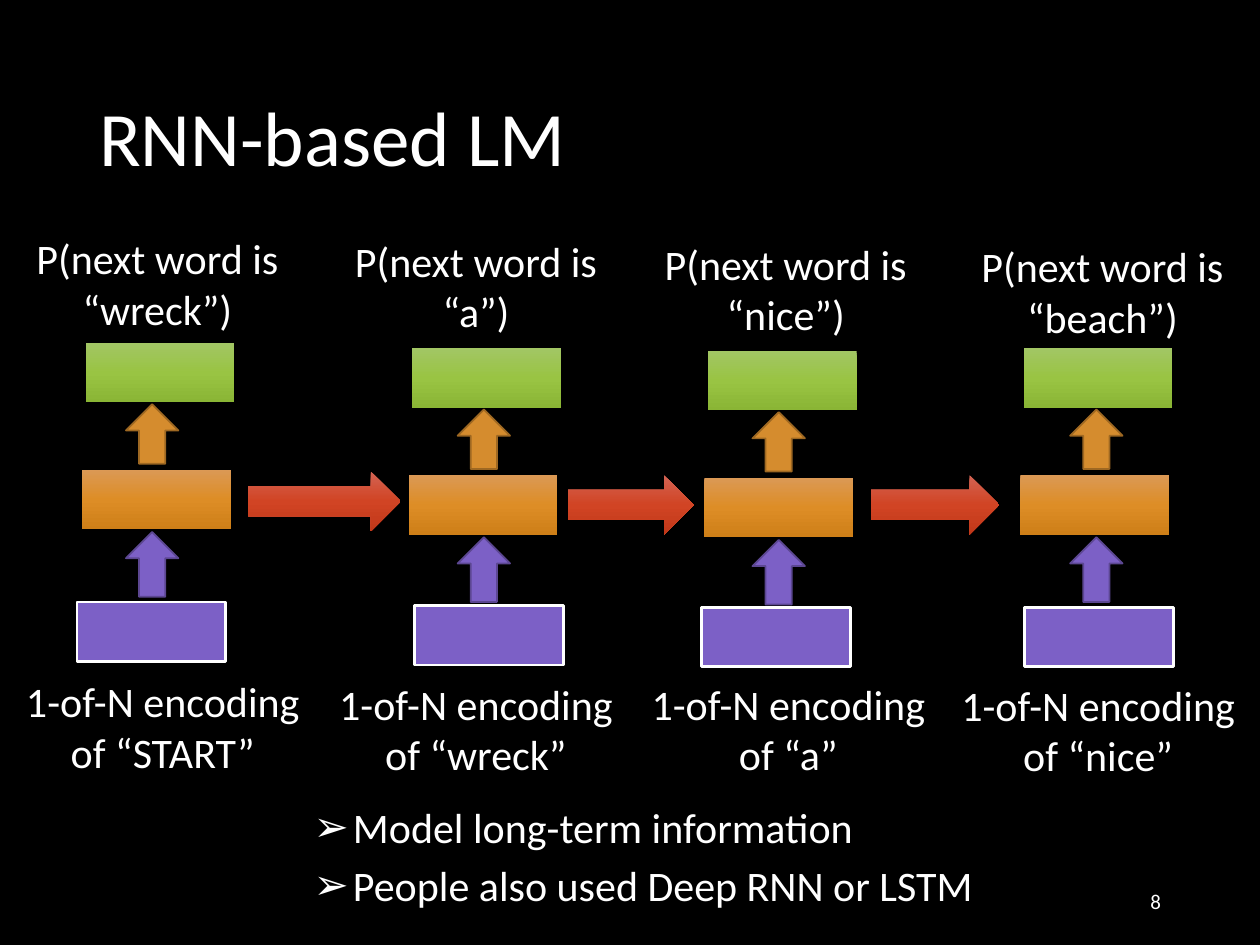
from copy import deepcopy
from lxml.etree import SubElement
from pptx import Presentation
from pptx.dml.color import RGBColor
from pptx.enum.shapes import MSO_SHAPE as Shape
from pptx.enum.text import MSO_ANCHOR as Anchor, MSO_AUTO_SIZE as AutoSize, PP_ALIGN as Align
from pptx.oxml.ns import qn
from pptx.util import Pt

BLACK = RGBColor(0x00, 0x00, 0x00)
WHITE = RGBColor(0xFF, 0xFF, 0xFF)
PURPLE = RGBColor(0x7C, 0x60, 0xC6)
DARK_PURPLE = RGBColor(0x5C, 0x47, 0x92)
ORANGE = RGBColor(0xD5, 0x8C, 0x2E)
DARK_ORANGE = RGBColor(0x9E, 0x68, 0x22)
ORANGES = [RGBColor(0xDB, 0x99, 0x55), RGBColor(0xDD, 0x8D, 0x26), RGBColor(0xCE, 0x7F, 0x18)]
GREENS = [RGBColor(0xA2, 0xC6, 0x64), RGBColor(0x99, 0xC4, 0x43), RGBColor(0x8A, 0xB5, 0x35)]
REDS = [RGBColor(0xD3, 0x63, 0x53), RGBColor(0xD1, 0x44, 0x24), RGBColor(0xC1, 0x38, 0x19)]

prs = Presentation()
prs.slide_width, prs.slide_height = Pt(720), Pt(540)
slide = prs.slides.add_slide(prs.slide_layouts[1])
slide.background.fill.solid()
slide.background.fill.fore_color.rgb = BLACK


def add_block(kind, x, y, w, h, colors, line=None, line_width=1):
    block = slide.shapes.add_shape(kind, Pt(x), Pt(y), Pt(w), Pt(h))
    block.shadow.inherit = False
    if len(colors) == 1:
        block.fill.solid()
        block.fill.fore_color.rgb = colors[0]
    else:
        block.fill.gradient()
        block.fill.gradient_angle = 270
        first = block._element.spPr.find(qn("a:gradFill")).find(qn("a:gsLst"))[0]
        first.addnext(deepcopy(first))
        for stop, color, position in zip(block.fill.gradient_stops, colors, (0, 0.5, 1)):
            stop.color.rgb = color
            stop.position = position
    if line is None:
        block.line.fill.background()
    else:
        block.line.color.rgb = line
        block.line.width = Pt(line_width)


def write(frame, text, size, align, anchor=Anchor.TOP):
    frame.word_wrap = True
    frame.auto_size = AutoSize.NONE
    frame.vertical_anchor = anchor
    frame.text = text
    for paragraph in frame.paragraphs:
        paragraph.alignment = align
        paragraph.font.name = "Calibri"
        paragraph.font.size = Pt(size)
        paragraph.font.color.rgb = WHITE


title = slide.shapes.title
title.left, title.top, title.width, title.height = Pt(49.5), Pt(29), Pt(621), Pt(104)
write(title.text_frame, "RNN-based LM", 44, Align.LEFT, Anchor.MIDDLE)
title.text_frame.paragraphs[0].line_spacing = 0.9

BOX_W, BOX_H, ARROW_W = 85, 34, 30
# Each step: input word, predicted word, then (x, y) of input, state and the two labels, and arrow x
steps = [
    ("START", "wreck", (44, 344), (47, 268.5), (6, 382.5), (-0.5, 129.5), 72),
    ("wreck", "a", (237, 346), (233.5, 271.5), (185, 384), (181.5, 131), 261.5),
    ("a", "nice", (401, 347), (402.5, 273), (363.5, 384), (358.5, 132.5), 430),
    ("nice", "beach", (585.5, 347), (583, 271.5), (540.5, 384.5), (539.5, 134), 611.5),
]
for word, next_word, code, state, code_label, output_label, arrow_x in steps:
    state_x, state_y = state
    add_block(Shape.RECTANGLE, *code, BOX_W, BOX_H, [PURPLE], WHITE, 1.5)
    add_block(Shape.RECTANGLE, *state, BOX_W, BOX_H, ORANGES)
    add_block(Shape.RECTANGLE, state_x + 2, state_y - 72.5, BOX_W, BOX_H, GREENS)
    add_block(Shape.UP_ARROW, arrow_x, state_y + 35.5, ARROW_W, 37, [PURPLE], DARK_PURPLE)
    add_block(Shape.UP_ARROW, arrow_x, state_y - 37.5, ARROW_W, 34, [ORANGE], DARK_ORANGE)
    for (x, y), width, text in (
        (code_label, 174, f"1-of-N encoding of “{word}”"),
        (output_label, 181, f"P(next word is “{next_word}”)"),
    ):
        label = slide.shapes.add_textbox(Pt(x), Pt(y), Pt(width), Pt(65.5))
        write(label.text_frame, text, 24, Align.CENTER)

for x, y, width in ((142, 269.5, 87), (324.5, 271.5, 72), (497.5, 271.5, 73.5)):
    add_block(Shape.RIGHT_ARROW, x, y, width, BOX_H, REDS)

remarks = slide.placeholders[1]
remarks.left, remarks.top, remarks.width, remarks.height = Pt(172), Pt(454.5), Pt(516), Pt(70)
write(remarks.text_frame, "Model long-term information\nPeople also used Deep RNN or LSTM", 24, Align.LEFT)
for remark, gap in zip(remarks.text_frame.paragraphs, (0, 4.5)):
    remark.space_before = Pt(gap)
    properties = remark._p.get_or_add_pPr()
    properties.set("marL", str(Pt(22.5)))
    properties.set("indent", str(Pt(-22.5)))
    bullet = SubElement(properties, qn("a:buChar"), char="➢")
    properties.find(qn("a:defRPr")).addprevious(bullet)

page_number = slide.shapes.add_textbox(Pt(508.5), Pt(500.5), Pt(162), Pt(28.5))
write(page_number.text_frame, "8", 12, Align.RIGHT, Anchor.MIDDLE)

prs.save("out.pptx")
